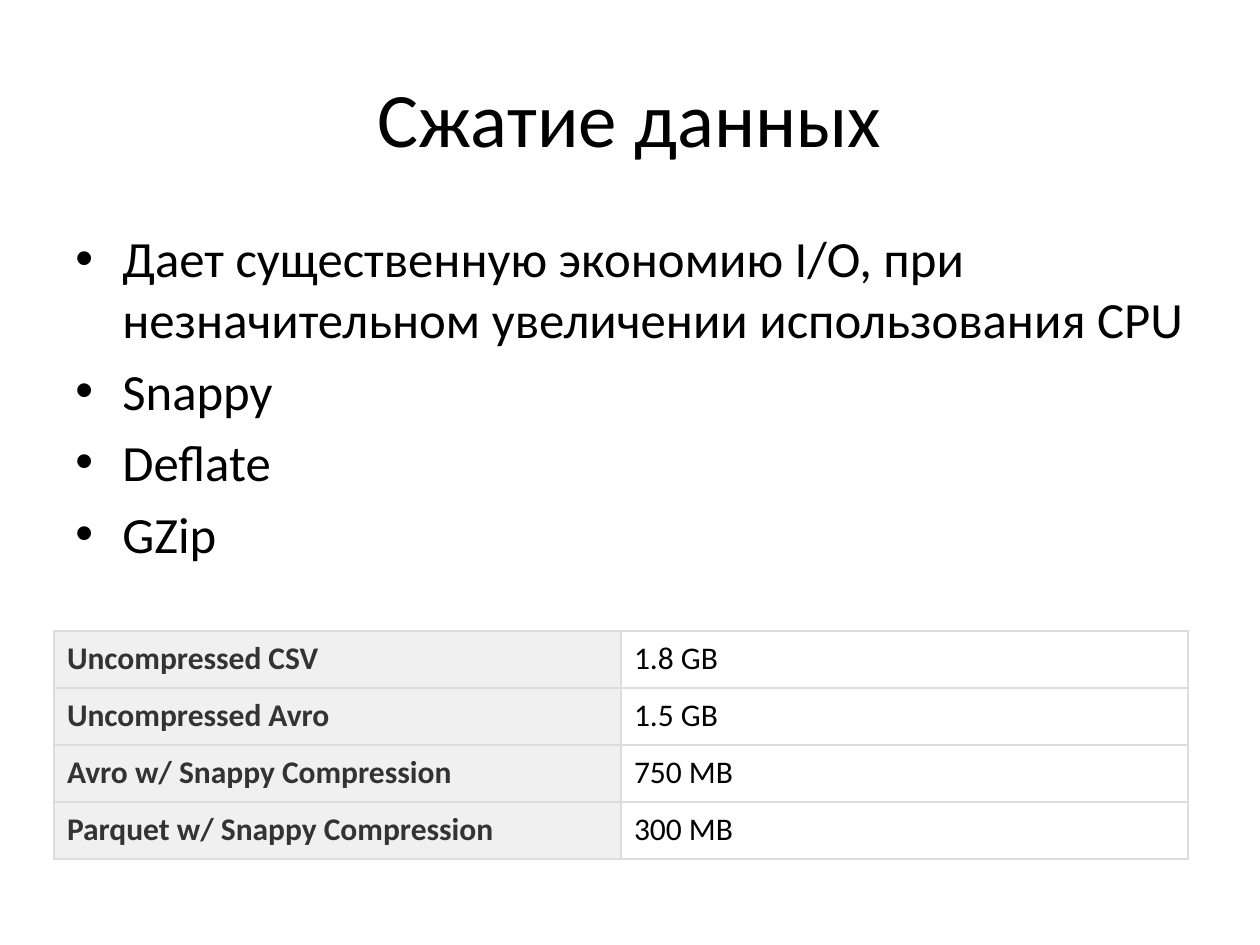
from lxml import etree
from pptx import Presentation
from pptx.dml.color import RGBColor
from pptx.enum.text import MSO_ANCHOR, PP_ALIGN
from pptx.oxml.ns import qn
from pptx.util import Emu, Pt

PIXEL = 914400 / 126
FONT = "Calibri"
CENTER = PP_ALIGN.CENTER
MIDDLE = MSO_ANCHOR.MIDDLE

BLACK = RGBColor(0x00, 0x00, 0x00)
DARK_GRAY = RGBColor(0x33, 0x33, 0x33)
LIGHT_GRAY = RGBColor(0xF0, 0xF0, 0xF0)
BORDER_GRAY = RGBColor(0xDD, 0xDD, 0xDD)

TITLE = "Сжатие данных"
BULLETS = [
    "Дает существенную экономию I/O, при незначительном увеличении использования CPU",
    "Snappy",
    "Deflate",
    "GZip",
]
SIZES = [
    ("Uncompressed CSV", "1.8 GB"),
    ("Uncompressed Avro", "1.5 GB"),
    ("Avro w/ Snappy Compression", "750 MB"),
    ("Parquet w/ Snappy Compression", "300 MB"),
]


def px(pixels):
    return Emu(round(pixels * PIXEL))


def format_runs(paragraph, size, color=BLACK, bold=False):
    for run in paragraph.runs:
        run.font.name = FONT
        run.font.size = Pt(size)
        run.font.bold = bold
        run.font.color.rgb = color


def add_text_frame(slide, left, top, width, height):
    shape = slide.shapes.add_textbox(px(left), px(top), px(width), px(height))
    shape.text_frame.word_wrap = True
    return shape.text_frame


def add_title(slide, text):
    text_frame = add_text_frame(slide, 63, 38, 1134, 157)
    text_frame.vertical_anchor = MIDDLE
    text_frame.text = text
    paragraph = text_frame.paragraphs[0]
    paragraph.alignment = CENTER
    format_runs(paragraph, 44)


def set_bullet(paragraph, indent):
    properties = paragraph._p.get_or_add_pPr()
    properties.set("marL", str(px(indent)))
    properties.set("indent", str(-px(indent)))
    font = etree.SubElement(properties, qn("a:buFont"))
    font.set("typeface", "Arial")
    bullet = etree.SubElement(properties, qn("a:buChar"))
    bullet.set("char", "•")


def add_bullets(slide, items):
    text_frame = add_text_frame(slide, 63, 221, 1134, 401)
    text_frame.text = "\n".join(items)
    for paragraph in text_frame.paragraphs:
        paragraph.space_before = Pt(6)
        set_bullet(paragraph, 47)
        format_runs(paragraph, 29)


def set_borders(cell, color):
    properties = cell._tc.get_or_add_tcPr()
    for position, side in enumerate(("lnL", "lnR", "lnT", "lnB")):
        line = etree.Element(qn(f"a:{side}"), w=str(Pt(0.75)))
        fill = etree.SubElement(line, qn("a:solidFill"))
        etree.SubElement(fill, qn("a:srgbClr"), val=str(color))
        properties.insert(position, line)


def fill_cell(cell, text, is_label):
    cell.text = text
    cell.margin_left = cell.margin_right = px(13)
    cell.margin_top = cell.margin_bottom = px(9)
    if is_label:
        cell.fill.solid()
        cell.fill.fore_color.rgb = LIGHT_GRAY
    else:
        cell.fill.background()
    set_borders(cell, BORDER_GRAY)
    color = DARK_GRAY if is_label else BLACK
    format_runs(cell.text_frame.paragraphs[0], 18, color, is_label)


def add_size_table(slide, rows):
    frame = slide.shapes.add_table(
        len(rows), 2, px(54), px(631), px(1134), px(57 * len(rows)))
    table = frame.table
    table.first_row = False
    table.horz_banding = False
    for row_index, row in enumerate(rows):
        for column_index, text in enumerate(row):
            fill_cell(table.cell(row_index, column_index), text, column_index == 0)


def main():
    presentation = Presentation()
    presentation.slide_width = px(1260)
    presentation.slide_height = px(945)
    slide = presentation.slides.add_slide(presentation.slide_layouts[6])

    # Heading and key points
    add_title(slide, TITLE)
    add_bullets(slide, BULLETS)

    # File sizes by format
    add_size_table(slide, SIZES)

    presentation.save("out.pptx")


main()
